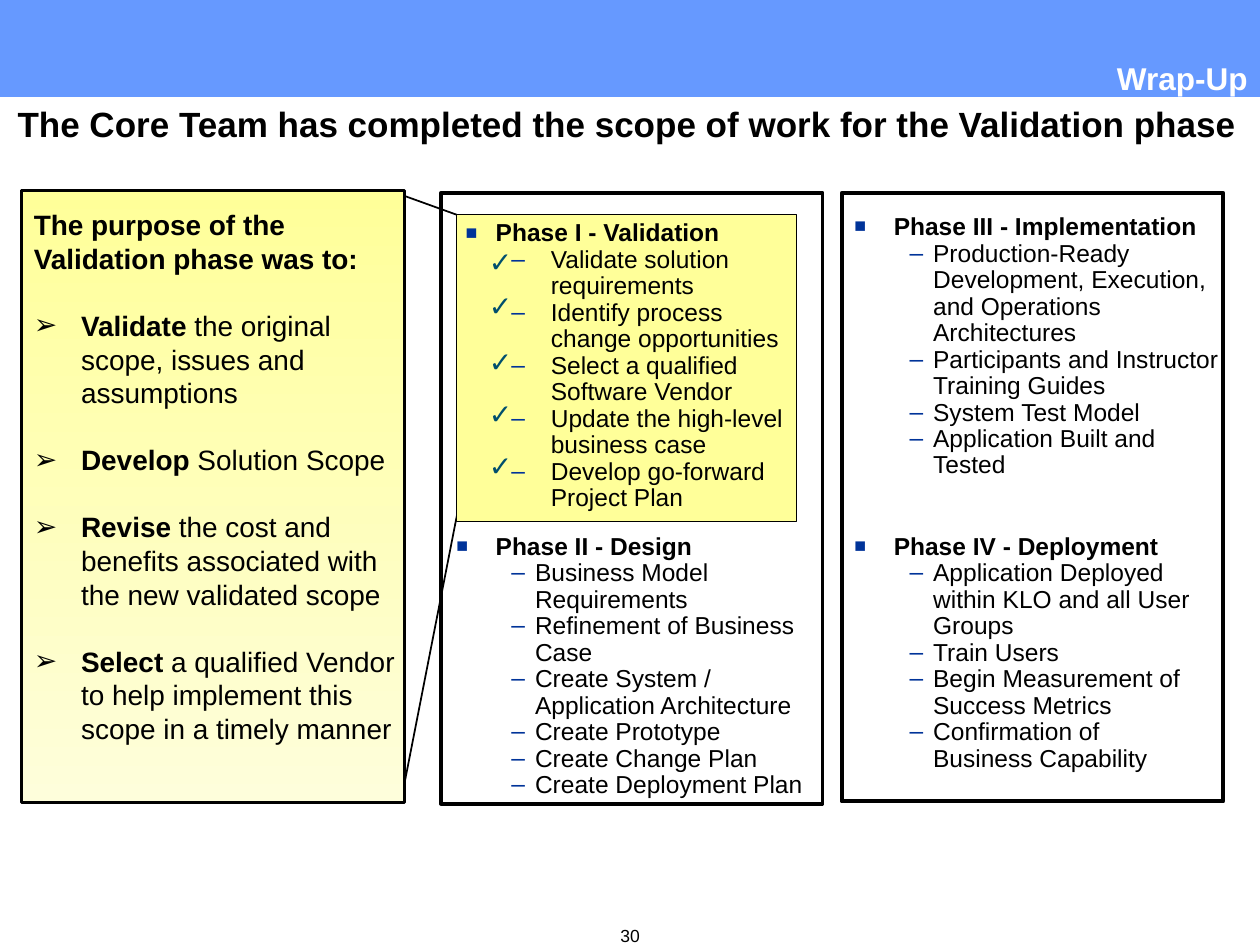
import dataclasses

import lxml.etree
import pptx
import pptx.dml.color
import pptx.enum.shapes
import pptx.enum.text
import pptx.oxml.ns
import pptx.util

Pt = pptx.util.Pt
ALIGN = pptx.enum.text.PP_ALIGN


@dataclasses.dataclass(frozen=True)
class Theme:
    font: str = "Arial"
    black: str = "000000"
    white: str = "FFFFFF"
    banner: str = "6699FF"
    yellow: str = "FFFF99"
    cream: str = "FEFEDB"
    bullet: str = "003399"
    check: str = "004F6D"
    title: float = 20
    section: float = 18
    purpose: float = 16
    body: float = 14
    number: float = 10


THEME = Theme()

PURPOSES = [
    ("Validate", " the original scope, issues and assumptions"),
    ("Develop", " Solution Scope"),
    ("Revise", " the cost and benefits associated with the new validated scope"),
    ("Select", " a qualified Vendor to help implement this scope in a timely manner"),
]
VALIDATION = [
    "Validate solution requirements",
    "Identify process change opportunities",
    "Select a qualified Software Vendor",
    "Update the high-level business case",
    "Develop go-forward Project Plan",
]
DESIGN = [
    "Business Model Requirements",
    "Refinement of Business Case",
    "Create System / Application Architecture",
    "Create Prototype",
    "Create Change Plan",
    "Create Deployment Plan",
]
IMPLEMENTATION = [
    "Production-Ready Development, Execution, and Operations Architectures",
    "Participants and Instructor Training Guides",
    "System Test Model",
    "Application Built and Tested",
]
DEPLOYMENT = [
    "Application Deployed within KLO and all User Groups",
    "Train Users",
    "Begin Measurement of Success Metrics",
    "Confirmation of Business Capability",
]
CHECK_TOPS = [136, 161.5, 193.5, 223, 252.5]


def rgb(value):
    return pptx.dml.color.RGBColor.from_string(value)


def add_child(parent, tag, **attributes):
    return lxml.etree.SubElement(parent, pptx.oxml.ns.qn(tag), **attributes)


def add_bullet(para, char, color, scale):
    properties = para._p.get_or_add_pPr()
    add_child(add_child(properties, "a:buClr"), "a:srgbClr", val=color)
    add_child(properties, "a:buSzPct", val=str(scale * 1000))
    add_child(properties, "a:buFont", typeface=THEME.font)
    add_child(properties, "a:buChar", char=char)


def write(frame, text, *, size, color=THEME.black, bold=False, lead="", align=ALIGN.LEFT,
          spacing=None, before=0, level=0, left=0, hang=0,
          bullet=None, bullet_color=THEME.bullet, bullet_scale=100):
    para = frame.paragraphs[0]
    if para.runs:
        para = frame.add_paragraph()
    para.alignment = align
    para.level = level
    para.line_spacing = spacing
    para.space_before = Pt(before)
    properties = para._p.get_or_add_pPr()
    properties.set("marL", str(Pt(left)))
    properties.set("indent", str(Pt(-hang)))
    if bullet:
        add_bullet(para, bullet, bullet_color, bullet_scale)
    for words, heavy in ((lead, True), (text, bold)):
        if words:
            span = para.add_run()
            span.text = words
            span.font.name = THEME.font
            span.font.size = Pt(size)
            span.font.bold = heavy
            span.font.color.rgb = rgb(color)


def set_frame(shape, insets, wrap=True):
    frame = shape.text_frame
    frame.word_wrap = wrap
    frame.vertical_anchor = pptx.enum.text.MSO_ANCHOR.TOP
    frame.margin_left, frame.margin_top, frame.margin_right, frame.margin_bottom = map(Pt, insets)
    return frame


def add_text_box(page, place, insets=(7.2, 3.6, 7.2, 3.6), wrap=True):
    return set_frame(page.shapes.add_textbox(*map(Pt, place)), insets, wrap)


def add_box(page, place, fill=None, line=None):
    box = page.shapes.add_shape(pptx.enum.shapes.MSO_SHAPE.RECTANGLE, *map(Pt, place))
    box.shadow.inherit = False
    if fill:
        box.fill.solid()
        box.fill.fore_color.rgb = rgb(fill)
    else:
        box.fill.background()
    if line:
        box.line.color.rgb = rgb(THEME.black)
        box.line.width = Pt(line)
    else:
        box.line.fill.background()
    return box


def add_line(page, start, end):
    line = page.shapes.add_connector(
        pptx.enum.shapes.MSO_CONNECTOR.STRAIGHT, *map(Pt, start + end))
    line.line.color.rgb = rgb(THEME.black)
    line.line.width = Pt(1)
    add_child(line._element.spPr, "a:effectLst")


def write_phase(frame, heading, items, heading_hang=22.5, left=45, hang=13.5):
    write(frame, heading, size=THEME.body, bold=True, spacing=0.9, left=22.5,
          hang=heading_hang, bullet="■", bullet_scale=80)
    for item in items:
        write(frame, item, size=THEME.body, spacing=0.9, level=1,
              left=left, hang=hang, bullet="–")


def add_phase(page, place, heading, items):
    write_phase(add_text_box(page, place, (0, 0, 0, 0)), heading, items)


def add_purpose_panel(page):
    panel = add_box(page, (12.25, 108.75, 219, 350), THEME.yellow, 1.5)
    panel.fill.gradient()
    panel.fill.gradient_angle = 270
    for stop, color in zip(panel.fill.gradient_stops, (THEME.yellow, THEME.cream)):
        stop.color.rgb = rgb(color)


def add_purpose_text(page):
    frame = add_text_box(page, (12.25, 115.2, 226, 333.4))
    for line in ("The purpose of the", "Validation phase was to:"):
        write(frame, line, size=THEME.purpose, bold=True, left=27, hang=27)
    for verb, rest in PURPOSES:
        write(frame, rest, lead=verb, size=THEME.purpose, before=19.2, left=27, hang=27,
              bullet="➢", bullet_color=THEME.black)


def main():
    deck = pptx.Presentation()
    deck.slide_width, deck.slide_height = Pt(720), Pt(540)
    page = deck.slides.add_slide(deck.slide_layouts[6])

    write(add_text_box(page, (326, 525, 68, 19.5)), "30", size=THEME.number, align=ALIGN.CENTER)
    add_box(page, (0, 0, 720, 55.4), THEME.banner)
    add_line(page, (229, 458.6), (262.8, 285.8))
    add_line(page, (228.2, 110.9), (272, 126.7))
    add_purpose_panel(page)
    write(add_text_box(page, (10, 60.5, 710, 39.6), (0, 0, 0, 3.6)),
          "The Core Team has completed the scope of work for the Validation phase",
          size=THEME.title, bold=True, spacing=0.93)

    add_phase(page, (260.75, 305.25, 208, 155), "Phase II - Design", DESIGN)
    validation = add_box(page, (260.75, 122.5, 194.25, 175.5), THEME.yellow, 0.75)
    write_phase(set_frame(validation, (0, 3.6, 0, 0)), "Phase I - Validation", VALIDATION,
                heading_hang=17.25, left=54, hang=22.5)
    add_phase(page, (488.25, 122.5, 216.75, 187), "Phase III - Implementation", IMPLEMENTATION)
    add_phase(page, (488.25, 305.25, 194.5, 165.5), "Phase IV - Deployment", DEPLOYMENT)
    add_box(page, (252, 110.25, 218, 349), line=2.25)
    add_box(page, (481, 110.25, 218, 347.75), line=2.25)

    for top in CHECK_TOPS:
        write(add_text_box(page, (272.2, top, 27.4, 26.6), wrap=False), "✓",
              size=THEME.purpose, color=THEME.check)
    add_purpose_text(page)
    write(add_text_box(page, (121, 30.25, 599, 28.8)), "Wrap-Up", size=THEME.section,
          color=THEME.white, bold=True, align=ALIGN.RIGHT)
    deck.save("out.pptx")


if __name__ == "__main__":
    main()
